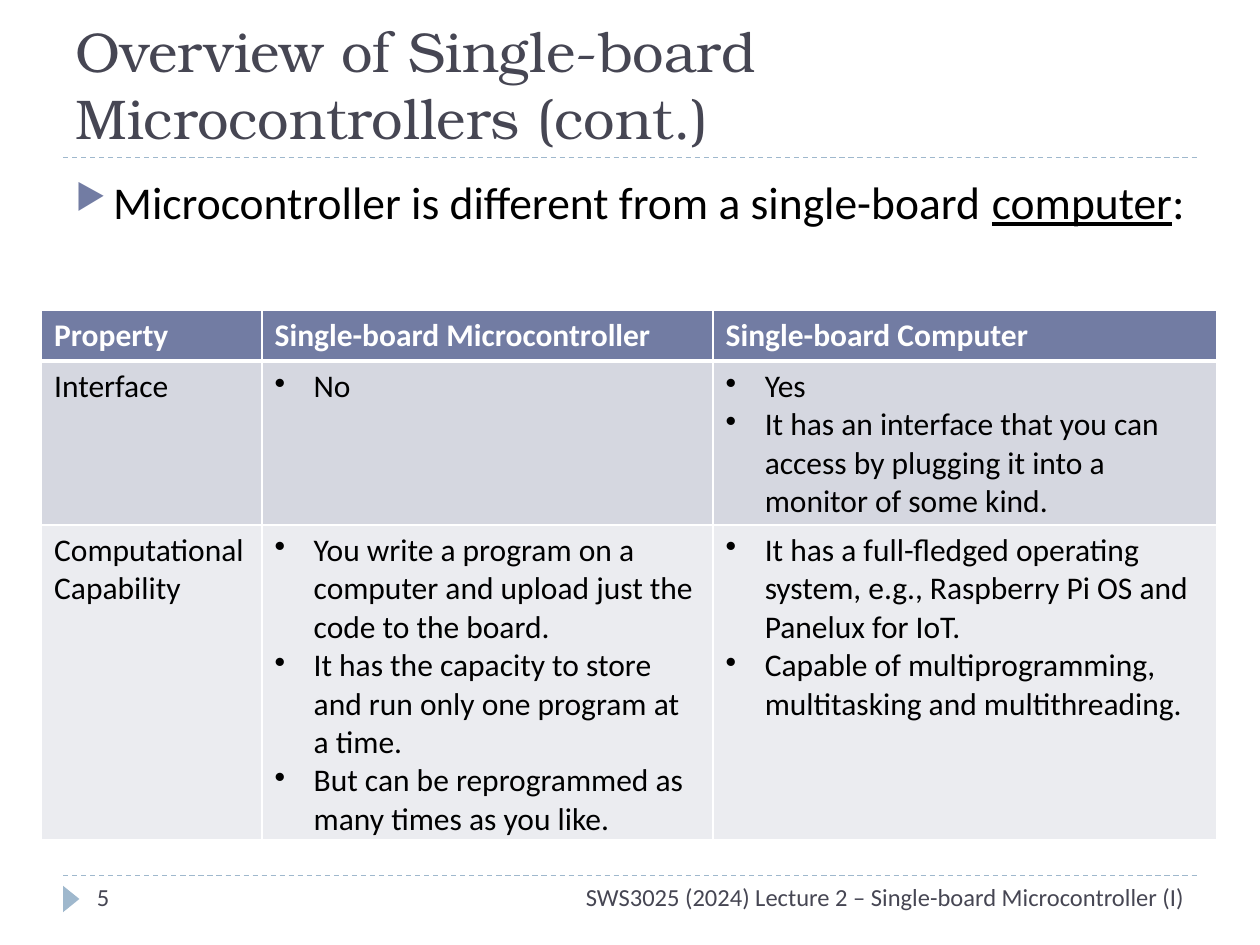
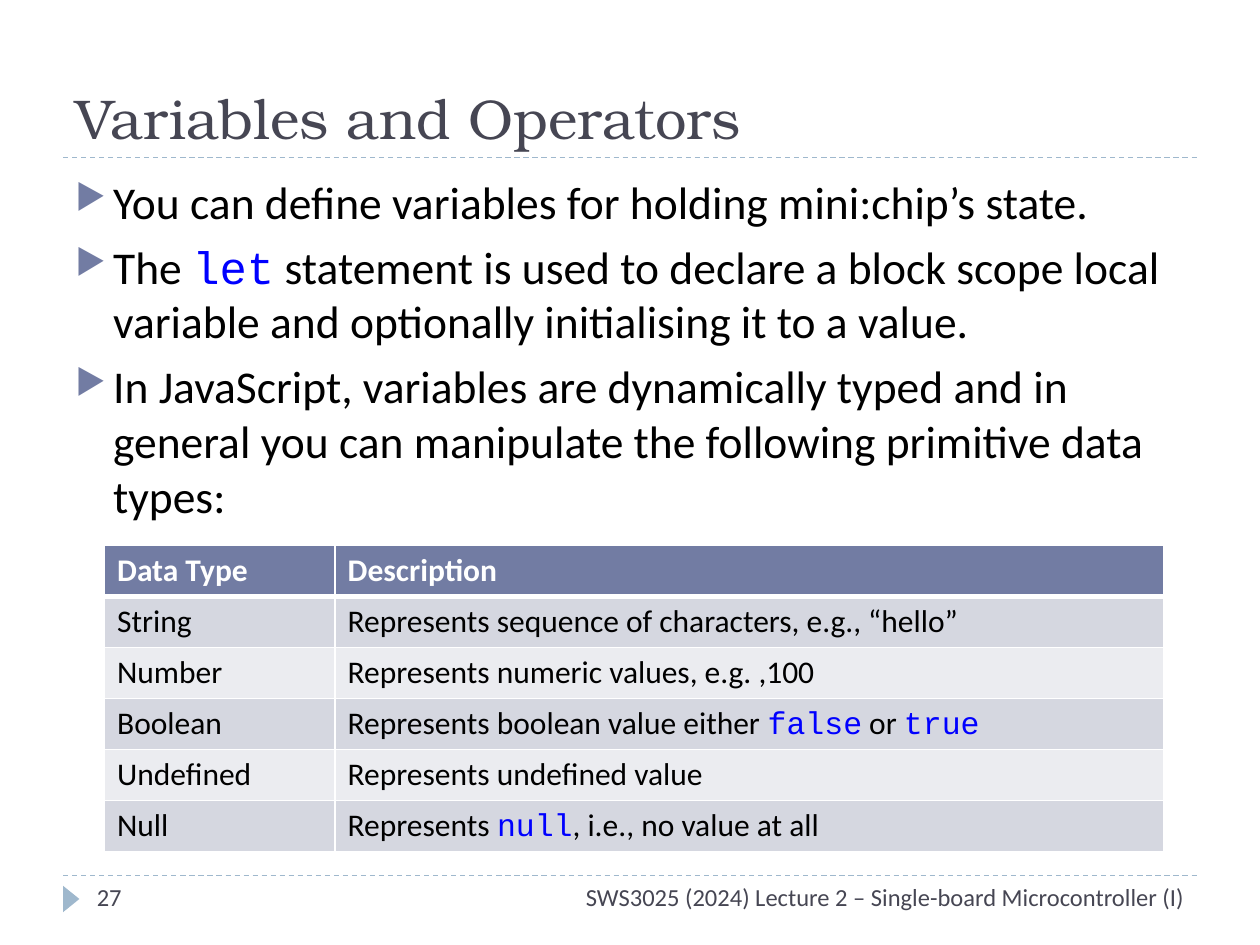
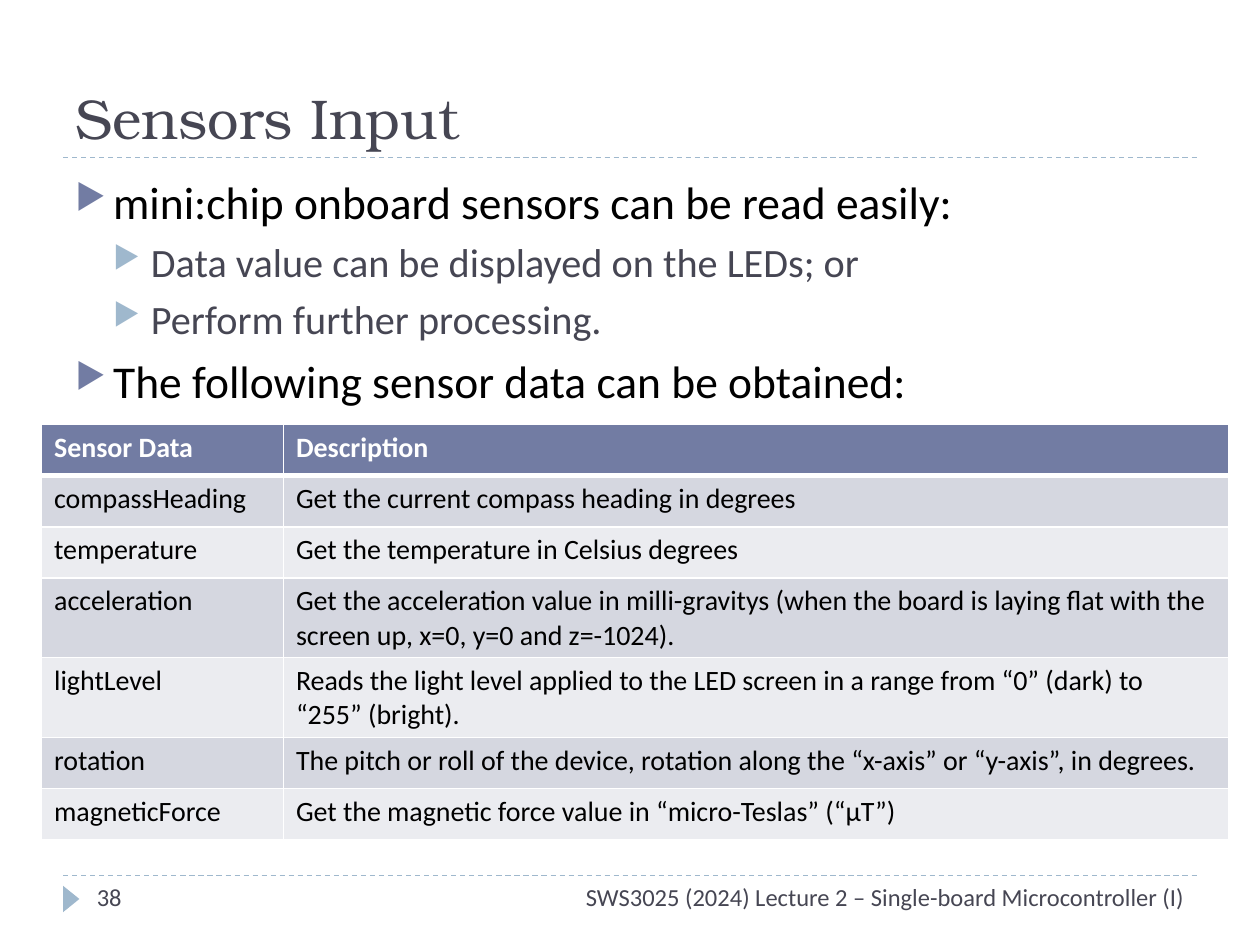
from dataclasses import dataclass

from lxml.etree import SubElement
from pptx import Presentation
from pptx.dml.color import RGBColor
from pptx.enum.dml import MSO_LINE
from pptx.enum.shapes import MSO_CONNECTOR, MSO_SHAPE
from pptx.enum.text import MSO_ANCHOR, MSO_AUTO_SIZE, PP_ALIGN
from pptx.oxml.ns import qn
from pptx.util import Inches, Pt


@dataclass(frozen=True)
class Theme:
    """Colours, fonts and type sizes of the deck."""
    ink: str = "000000"
    paper: str = "FFFFFF"
    slate: str = "464653"
    accent: str = "727CA3"
    sky: str = "9FB8CD"
    code: str = "0000FF"
    bands: tuple = ("D5D7E0", "EBECF0")
    serif: str = "TeX Gyre Bonum"
    sans: str = "Calibri"
    mono: str = "Courier New"
    title_size: int = 32
    body_sizes: tuple = (26, 23)
    body_gaps: tuple = (6, 5)
    footer_size: int = 14


@dataclass(frozen=True)
class Box:
    """A rectangle in inches."""
    left: float
    top: float
    width: float
    height: float

    def lengths(self):
        """Return left, top, width and height as lengths."""
        return [Inches(n) for n in (self.left, self.top, self.width, self.height)]


@dataclass(frozen=True)
class Span:
    """Words with a special look."""
    text: str
    look: str


@dataclass(frozen=True)
class Item:
    """A bulleted line made of plain words and spans."""
    wording: tuple
    level: int = 0


@dataclass(frozen=True)
class Grid:
    """A table with its place, column widths, rows and type size."""
    box: Box
    columns: tuple
    rows: list
    size: int = 18


@dataclass(frozen=True)
class Lesson:
    """The content of one slide."""
    title: str
    number: int
    items: list
    grid: Grid


THEME = Theme()
LOOKS = {
    "code": {"name": THEME.mono, "color": THEME.code},
    "underlined": {"underline": True},
}
TITLE_BOX = Box(0.5, 0.17, 9, 1.08)
BODY_BOX = Box(0.5, 1.33, 9, 5.4)
FOOTER_BOX = Box(0.5, 6.95, 9, 0.4)
FOOTER = "SWS3025 (2024) Lecture 2 – Single-board Microcontroller (I)"

LESSONS = [
    Lesson(
        "Overview of Single-board Microcontrollers (cont.)", 5,
        [Item(("Microcontroller is different from a single-board ",
               Span("computer", "underlined"), ":"))],
        Grid(Box(0.33, 2.46, 9.33, 1.22), (1.75, 3.58, 4), [
            ("Property", "Single-board Microcontroller", "Single-board Computer"),
            ("Interface", [Item(("No",))], [
                Item(("Yes",)),
                Item(("It has an interface that you can access by plugging it "
                      "into a monitor of some kind.",))]),
            ("Computational Capability", [
                Item(("You write a program on a computer and upload just the "
                      "code to the board.",)),
                Item(("It has the capacity to store and run only one program "
                      "at a time.",)),
                Item(("But can be reprogrammed as many times as you like.",))], [
                Item(("It has a full-fledged operating system, e.g., "
                      "Raspberry Pi OS and Panelux for IoT.",)),
                Item(("Capable of multiprogramming, multitasking and "
                      "multithreading.",))]),
        ])),
    Lesson(
        "Variables and Operators", 27,
        [Item(("You can define variables for holding mini:chip’s state.",)),
         Item(("The ", Span("let", "code"), " statement is used to declare a block "
               "scope local variable and optionally initialising it to a value.")),
         Item(("In JavaScript, variables are dynamically typed and in general you "
               "can manipulate the following primitive data types:",))],
        Grid(Box(0.83, 4.33, 8.42, 2.43), (1.83, 6.58), [
            ("Data Type", "Description"),
            ("String", "Represents sequence of characters, e.g., “hello”"),
            ("Number", "Represents numeric values, e.g. ,100"),
            ("Boolean", ("Represents boolean value either ", Span("false", "code"),
                         " or ", Span("true", "code"))),
            ("Undefined", "Represents undefined value"),
            ("Null", ("Represents ", Span("null", "code"),
                      ", i.e., no value at all")),
        ])),
    Lesson(
        "Sensors Input", 38,
        [Item(("mini:chip onboard sensors can be read easily:",)),
         Item(("Data value can be displayed on the LEDs; or",), 1),
         Item(("Perform further processing.",), 1),
         Item(("The following sensor data can be obtained:",))],
        Grid(Box(0.33, 3.37, 9.42, 2.84), (1.92, 7.5), [
            ("Sensor Data", "Description"),
            ("compassHeading", "Get the current compass heading in degrees"),
            ("temperature", "Get the temperature in Celsius degrees"),
            ("acceleration", "Get the acceleration value in milli-gravitys (when the "
             "board is laying flat with the screen up, x=0, y=0 and z=-1024)."),
            ("lightLevel", "Reads the light level applied to the LED screen in a "
             "range from “0” (dark) to “255” (bright)."),
            ("rotation", "The pitch or roll of the device, rotation along the "
             "“x-axis” or “y-axis”, in degrees."),
            ("magneticForce",
             "Get the magnetic force value in “micro-Teslas” (“µT”)"),
        ], 16)),
]


def style_font(font, formats):
    """Apply a dict of format values to a font."""
    for name, value in formats.items():
        if name == "color":
            font.color.rgb = RGBColor.from_string(value)
        else:
            setattr(font, name, Pt(value) if name == "size" else value)


def write_wording(para, wording, formats):
    """Write plain words and spans into a paragraph."""
    for piece in wording:
        special = isinstance(piece, Span)
        run = para.add_run()
        run.text = piece.text if special else piece
        style_font(run.font, formats | (LOOKS[piece.look] if special else {}))


def add_bullet(para, mark, margin, hanging, color=None, percent=None):
    """Give a paragraph a bullet with a hanging indent."""
    properties = para._p.get_or_add_pPr()
    properties.set("marL", str(Inches(margin)))
    properties.set("indent", str(-Inches(hanging)))
    if color:
        holder = SubElement(properties, qn("a:buClr"))
        SubElement(holder, qn("a:srgbClr"), val=color)
    if percent:
        SubElement(properties, qn("a:buSzPct"), val=str(percent * 1000))
    SubElement(properties, qn("a:buChar"), char=mark)


def paragraphs(frame, items):
    """Yield each item with a paragraph of its own."""
    for index, item in enumerate(items):
        yield item, frame.add_paragraph() if index else frame.paragraphs[0]


def add_text_box(page, box):
    """Add a wrapping text box and return its frame."""
    frame = page.shapes.add_textbox(*box.lengths()).text_frame
    frame.word_wrap = True
    return frame


def add_rule(page, box, offset):
    """Draw a dashed line across a box at an offset from its top."""
    left, top, width, _ = box.lengths()
    height = top + Inches(offset)
    rule = page.shapes.add_connector(
        MSO_CONNECTOR.STRAIGHT, left, height, left + width, height)
    rule.line.color.rgb = RGBColor.from_string(THEME.sky)
    rule.line.width = Pt(0.75)
    rule.line.dash_style = MSO_LINE.DASH
    SubElement(rule._element.spPr, qn("a:effectLst"))


def place_title(page, box, text):
    """Move and format the title and rule off its lower edge."""
    add_rule(page, box, box.height)
    title = page.shapes.title
    title.left, title.top, title.width, title.height = box.lengths()
    frame = title.text_frame
    frame.word_wrap = True
    frame.auto_size = MSO_AUTO_SIZE.NONE
    frame.vertical_anchor = MSO_ANCHOR.BOTTOM
    para = frame.paragraphs[0]
    para.alignment = PP_ALIGN.LEFT
    write_wording(para, [text], {
        "name": THEME.serif, "size": THEME.title_size, "color": THEME.slate})


def place_footer(page, box, number):
    """Draw the footer rule, pointer, page number and lecture name."""
    add_rule(page, box, 0)
    pointer = page.shapes.add_shape(
        MSO_SHAPE.ISOSCELES_TRIANGLE,
        *Box(box.left - 0.04, box.top + 0.12, 0.21, 0.13).lengths())
    pointer.rotation = 90
    pointer.shadow.inherit = False
    pointer.fill.solid()
    pointer.fill.fore_color.rgb = RGBColor.from_string(THEME.sky)
    pointer.line.fill.background()
    labels = [(FOOTER, 0.83, 8.17, PP_ALIGN.RIGHT),
              (str(number), 0.17, 2.17, PP_ALIGN.LEFT)]
    for text, inset, width, alignment in labels:
        frame = add_text_box(
            page, Box(box.left + inset, box.top, width, box.height))
        para = frame.paragraphs[0]
        para.alignment = alignment
        write_wording(para, [text], {
            "name": THEME.sans, "size": THEME.footer_size, "color": THEME.slate})


def place_body(page, box, items):
    """Write the bulleted points on their two levels."""
    frame = add_text_box(page, box)
    for index, (item, para) in enumerate(paragraphs(frame, items)):
        level = item.level
        para.level = level
        add_bullet(para, "▶", 0.3 * (level + 1), 0.3,
                   (THEME.accent, THEME.sky)[level], 76)
        if index:
            para.space_before = Pt(THEME.body_gaps[level])
        write_wording(para, item.wording, {
            "name": THEME.sans, "size": THEME.body_sizes[level],
            "color": (THEME.ink, THEME.slate)[level]})


def paint_cell(cell, fill, top, bottom):
    """Give a cell its fill and white borders."""
    properties = cell._tc.get_or_add_tcPr()
    for side, width in {"L": 1, "R": 1, "T": top, "B": bottom}.items():
        border = SubElement(properties, qn(f"a:ln{side}"), w=str(Pt(width)))
        paint = SubElement(border, qn("a:solidFill"))
        SubElement(paint, qn("a:srgbClr"), val=THEME.paper)
    cell.fill.solid()
    cell.fill.fore_color.rgb = RGBColor.from_string(fill)


def write_cell(cell, content, formats):
    """Write words, spans or a bulleted list into a cell."""
    frame = cell.text_frame
    if isinstance(content, list):
        for item, para in paragraphs(frame, content):
            add_bullet(para, "•", 0.31, 0.31)
            write_wording(para, item.wording, formats)
    else:
        wording = [content] if isinstance(content, str) else content
        write_wording(frame.paragraphs[0], wording, formats)


def place_table(page, grid):
    """Add the table with a header row and alternating bands."""
    table = page.shapes.add_table(
        len(grid.rows), len(grid.columns), *grid.box.lengths()).table
    table.horz_banding = False
    for column, width in zip(table.columns, grid.columns):
        column.width = Inches(width)
    for index, row in enumerate(grid.rows):
        header = index == 0
        fill = THEME.accent if header else THEME.bands[(index - 1) % 2]
        formats = {"name": THEME.sans, "size": grid.size, "bold": header,
                   "color": THEME.paper if header else THEME.ink}
        for cell, content in zip(table.rows[index].cells, row):
            paint_cell(cell, fill, 3 if index == 1 else 1, 3 if header else 1)
            write_cell(cell, content, formats)


def add_lesson(deck, lesson):
    """Build one slide with title, footer, points and table."""
    page = deck.slides.add_slide(deck.slide_layouts.get_by_name("Title Only"))
    place_title(page, TITLE_BOX, lesson.title)
    place_footer(page, FOOTER_BOX, lesson.number)
    place_body(page, BODY_BOX, lesson.items)
    place_table(page, lesson.grid)


def main():
    """Build the deck and save it."""
    deck = Presentation()
    deck.slide_width, deck.slide_height = Inches(10), Inches(7.5)
    for lesson in LESSONS:
        add_lesson(deck, lesson)
    deck.save("out.pptx")


if __name__ == "__main__":
    main()
